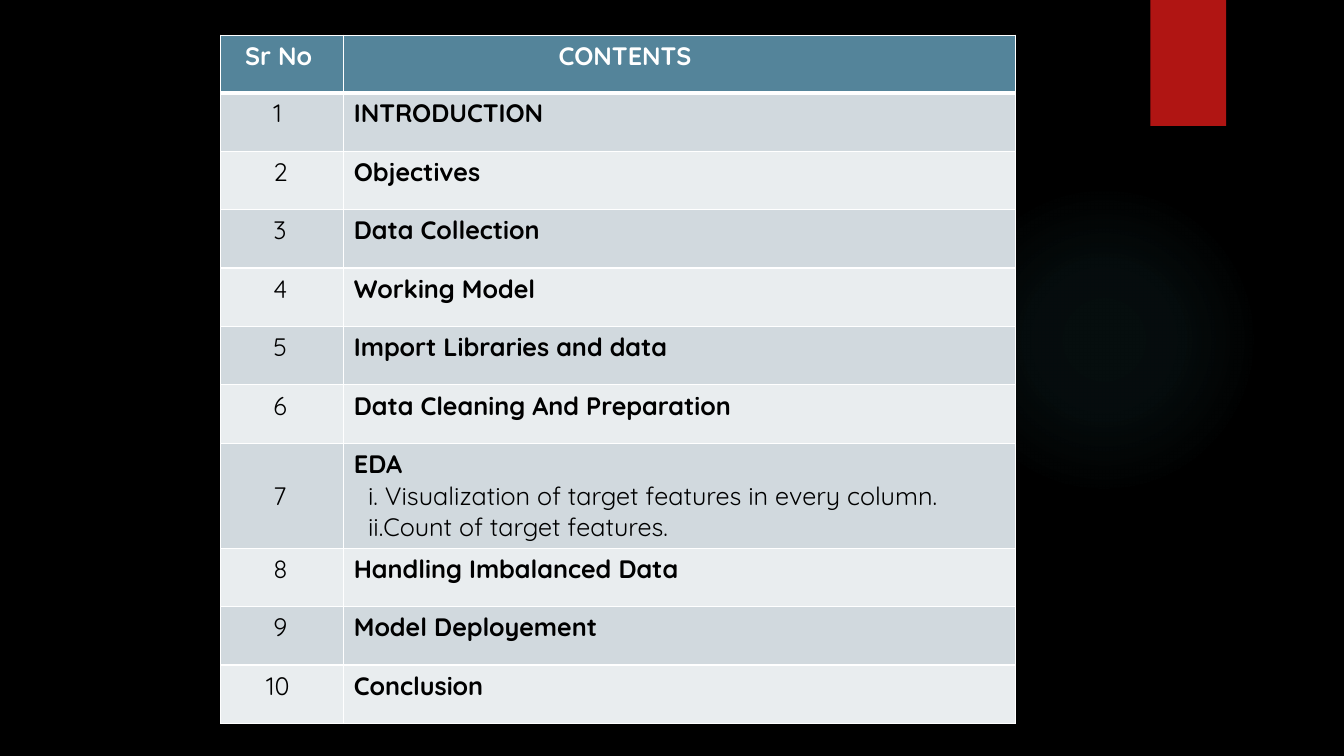
import pptx
import pptx.util
import pptx.dml.color
import pptx.enum.shapes
import pptx.enum.text
from lxml import etree
from pptx.oxml.ns import qn

SHAPES = pptx.enum.shapes.MSO_SHAPE
SPACE = 0.07  # width of one indent step, in inches

CONTENTS = [
    ["INTRODUCTION"],
    ["Objectives"],
    ["Data Collection"],
    ["Working Model"],
    ["Import Libraries and data"],
    ["Data Cleaning And Preparation"],
    ["EDA", "i. Visualization of target features in every column.",
     "ii.Count of target features."],
    ["Handling Imbalanced Data"],
    ["Model Deployement"],
    ["Conclusion"],
]


def colour(value):
    return pptx.dml.color.RGBColor.from_string(value)


class ContentsSlide:
    """Style and current slide; lengths are percentages of the slide's size."""
    font, size = "Quicksand", 18
    black, white, red, glow = "000000", "FFFFFF", "B01513", "50B9C1"
    header, bands = "54849A", ("D1D9DE", "E9EDEF")

    def __init__(self, presentation):
        self.presentation = presentation
        self.slide = presentation.slides.add_slide(presentation.slide_layouts[6])
        fill = self.slide.background.fill
        fill.solid()
        fill.fore_color.rgb = colour(self.black)

    def x(self, share):
        return round(self.presentation.slide_width * share / 100)

    def y(self, share):
        return round(self.presentation.slide_height * share / 100)

    def add_shape(self, kind, left, top, width, height, fill):
        shape = self.slide.shapes.add_shape(
            kind, self.x(left), self.y(top), self.x(width), self.y(height))
        shape.shadow.inherit = False
        shape.fill.solid()
        shape.fill.fore_color.rgb = colour(fill)
        shape.line.fill.background()
        return shape

    def add_glow(self, left, top, width, height, stops):
        shape = self.add_shape(SHAPES.OVAL, left, top, width, height, self.glow)
        solid = shape._element.spPr.find(qn("a:solidFill"))
        gradient = etree.Element(qn("a:gradFill"), rotWithShape="1")
        stop_list = etree.SubElement(gradient, qn("a:gsLst"))
        for position, opacity in stops:
            stop = etree.SubElement(stop_list, qn("a:gs"), pos=str(position * 1000))
            tint = etree.SubElement(stop, qn("a:srgbClr"), val=self.glow)
            etree.SubElement(tint, qn("a:alpha"), val=str(opacity * 1000))
        circle = etree.SubElement(gradient, qn("a:path"))
        circle.set("path", "circle")
        etree.SubElement(circle, qn("a:fillToRect"),
                         dict.fromkeys("ltrb", "50000"))
        solid.getparent().replace(solid, gradient)

    def add_table(self, left, top, columns, rows):
        table = self.slide.shapes.add_table(
            len(rows), len(columns), self.x(left), self.y(top),
            self.x(sum(columns)), self.y(sum(rows))).table
        for column, width in zip(table.columns, columns):
            column.width = self.x(width)
        for row, height in zip(table.rows, rows):
            row.height = self.y(height)
        return table

    def fill_cell(self, cell, lines, fill, text_colour, top=1, bottom=1):
        """Each line is a (text, indent steps, bold) tuple."""
        # Borders come before the fill in the cell's properties
        properties = cell._tc.get_or_add_tcPr()
        for side, width in zip("LRTB", (1, 1, top, bottom)):
            border = etree.SubElement(properties, qn(f"a:ln{side}"),
                                      w=str(pptx.util.Pt(width)))
            solid = etree.SubElement(border, qn("a:solidFill"))
            etree.SubElement(solid, qn("a:srgbClr"), val=self.white)
        cell.fill.solid()
        cell.fill.fore_color.rgb = colour(fill)

        cell.text_frame.text = "\n".join(text for text, _, _ in lines)
        for paragraph, (_, indent, bold) in zip(cell.text_frame.paragraphs, lines):
            margin = pptx.util.Inches(indent * SPACE)
            paragraph._p.get_or_add_pPr().set("marL", str(margin))
            for run in paragraph.runs:
                run.font.name = self.font
                run.font.size = pptx.util.Pt(self.size)
                run.font.bold = bold
                run.font.color.rgb = colour(text_colour)


def main():
    presentation = pptx.Presentation()
    presentation.slide_width = pptx.util.Inches(13.33)
    presentation.slide_height = pptx.util.Inches(7.5)
    page = ContentsSlide(presentation)

    # Backdrop: faint glow and red tab
    page.add_glow(70.59, 24.4, 23.11, 41.07, [(0, 7), (36, 6), (69, 0)])
    page.add_shape(SHAPES.RECTANGLE, 85.6, 0, 5.63, 16.67, page.red)

    # Table: rows with sub-items are taller
    heights = [7.6] + [7.73 if len(lines) == 1 else 13.87 for lines in CONTENTS]
    table = page.add_table(16.43, 4.67, [9.15, 49.96], heights)

    # Header row
    for column, heading in enumerate([("Sr No", 2, True), ("CONTENTS", 29, True)]):
        page.fill_cell(table.cell(0, column), [heading], page.header,
                       page.white, bottom=3)

    # Numbered rows
    for number, (title, *details) in enumerate(CONTENTS, start=1):
        fill = page.bands[(number - 1) % 2]
        top = 3 if number == 1 else 1
        label = (str(number), 7 - len(str(number)), False)
        entry = [(title, 0, True)] + [(detail, 2, False) for detail in details]
        for column, lines in enumerate([[label], entry]):
            page.fill_cell(table.cell(number, column), lines, fill,
                           page.black, top=top)
        if details:
            table.cell(number, 0).vertical_anchor = pptx.enum.text.MSO_ANCHOR.MIDDLE

    presentation.save("out.pptx")


if __name__ == "__main__":
    main()
